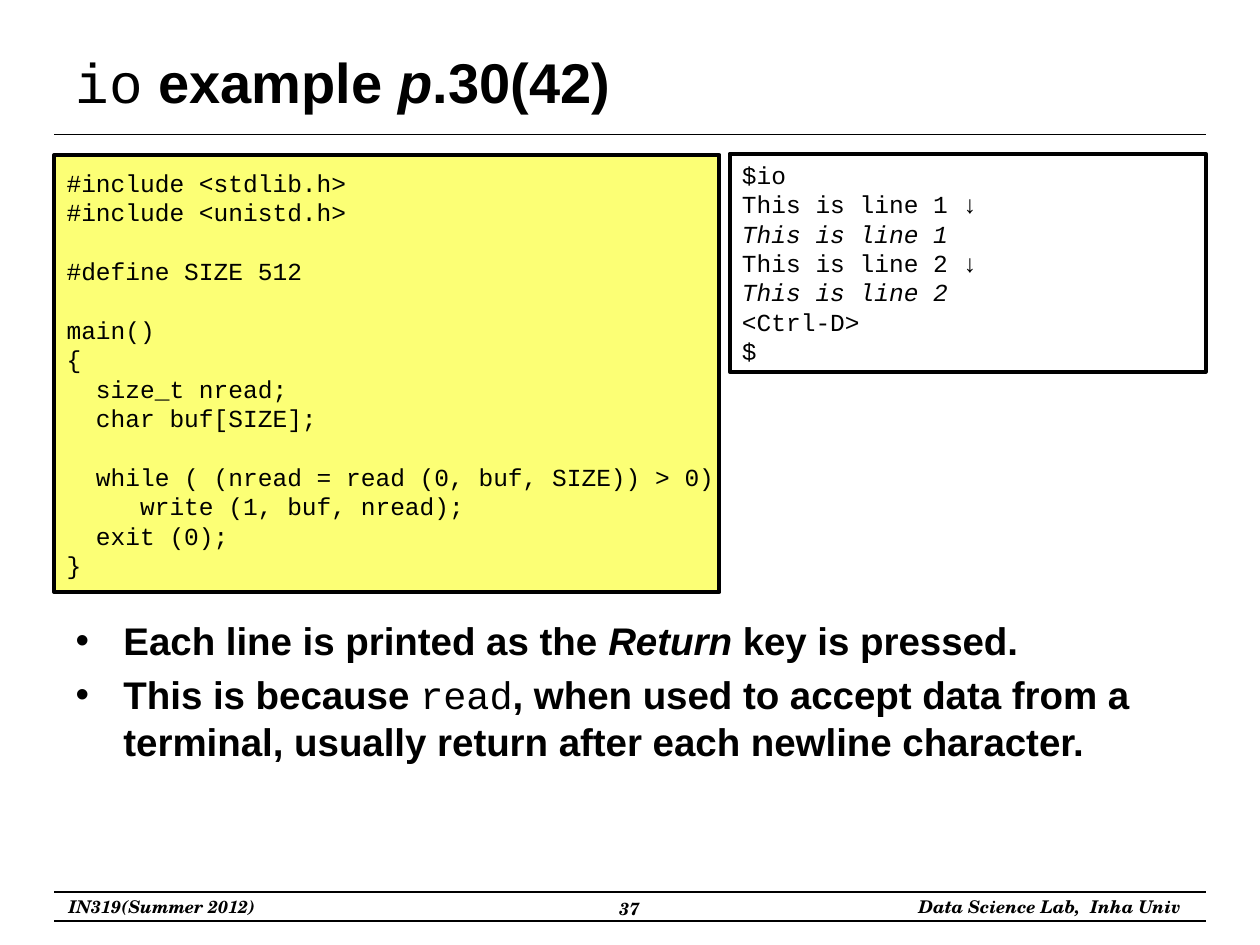
from dataclasses import dataclass
from lxml.etree import SubElement as sub
from pptx import Presentation
from pptx.dml.color import RGBColor as Rgb
from pptx.enum.shapes import MSO_CONNECTOR as Conn, MSO_SHAPE as Shape
from pptx.enum.text import MSO_ANCHOR as Anchor, MSO_AUTO_SIZE as Fit, PP_ALIGN as Align
from pptx.oxml.ns import qn
from pptx.util import Inches, Pt


@dataclass(frozen=True)
class Theme:
    ink: Rgb = Rgb(0, 0, 0)
    paper: Rgb = Rgb(255, 255, 255)
    note: Rgb = Rgb(0xFC, 0xFF, 0x75)
    sans: str = "Arial"
    mono: str = "Courier New"
    serif: str = "TeX Gyre Schola"
    title: float = 32
    body: float = 22
    code: float = 14
    foot: float = 10
    lead: float = 1.2
    rule: float = 0.75
    frame: float = 2.25


T = Theme()
WIDE, HIGH = Inches(10), Inches(7.5)
EDGE = 4.3

TITLE = [("io", "code"), (" example ", ""), ("p", "slant"), (".30(42)", "")]
POINTS = [
    [("Each line is printed as the ", ""), ("Return", "slant"), (" key is pressed.", "")],
    [("This is because ", ""), ("read", "code"),
     (", when used to accept data from a terminal, "
      "usually return after each newline character.", "")],
]
CODE = """#include <stdlib.h>
#include <unistd.h>

#define SIZE 512

main()
{
  size_t nread;
  char buf[SIZE];

  while ( (nread = read (0, buf, SIZE)) > 0)
     write (1, buf, nread);
  exit (0);
}""".split("\n")
SHELL = ["$io", "This is line 1 ↓", "This is line 1", "This is line 2 ↓",
         "This is line 2", "<Ctrl-D>", "$"]
ECHO = {2, 4}

PANELS = [
    (CODE, set(), T.note, (EDGE, 16.4, 52.8, 46.27)),
    (SHELL, ECHO, T.paper, (57.9, 16.27, 37.8, 23.07)),
]
FOOTS = [
    ("IN319(Summer 2012)", Align.CENTER, False, (4.1, 94.13, 17.5, 3.6)),
    ("Data Science Lab,  Inha Univ", Align.RIGHT, False, (71.6, 94.13, 23.1, 3.6)),
    ("37", Align.CENTER, True, (38.3, 94.4, 23.3, 4.13)),
]
RULES = [14.27, 94.4, 97.47]


def place(x, y, w, h):
    return [int(full * part / 100)
            for full, part in ((WIDE, x), (HIGH, y), (WIDE, w), (HIGH, h))]


def style(font, face, size, bold=False, slant=False):
    font.name, font.size = face, Pt(size)
    font.bold, font.italic = bold, slant
    font.color.rgb = T.ink


def move(shape, area):
    shape.left, shape.top, shape.width, shape.height = place(*area)
    shape.text_frame.auto_size = Fit.NONE


def write(para, parts, size):
    para.alignment = Align.LEFT
    for text, kind in parts:
        run = para.add_run()
        run.text = text
        code = kind == "code"
        style(run.font, T.mono if code else T.sans, size, not code, kind == "slant")


def lines(frame, count):
    return [frame.paragraphs[0]] + [frame.add_paragraph() for _ in range(count - 1)]


def rule(slide, y):
    x, y, w, _ = place(EDGE, y, 100 - 2 * EDGE, 0)
    line = slide.shapes.add_connector(Conn.STRAIGHT, x, y, x + w, y)
    line.line.color.rgb, line.line.width = T.ink, Pt(T.rule)
    sub(line._element.spPr, qn("a:effectLst"))


def foot(slide, text, align, wrap, area):
    box = slide.shapes.add_textbox(*place(*area))
    frame = box.text_frame
    frame.word_wrap = wrap
    frame.auto_size = Fit.NONE if wrap else Fit.SHAPE_TO_FIT_TEXT
    para = frame.paragraphs[0]
    para.text, para.alignment = text, align
    style(para.font, T.serif, T.foot, True, True)


def panel(slide, rows, slants, fill, area):
    box = slide.shapes.add_shape(Shape.RECTANGLE, *place(*area))
    box.shadow.inherit = False
    box.fill.solid()
    box.fill.fore_color.rgb = fill
    box.line.color.rgb, box.line.width = T.ink, Pt(T.frame)
    frame = box.text_frame
    frame.word_wrap, frame.vertical_anchor = False, Anchor.MIDDLE
    for i, (para, row) in enumerate(zip(lines(frame, len(rows)), rows)):
        para.text, para.alignment = row, Align.LEFT
        para.line_spacing = Pt(T.code * T.lead)
        style(para.font, T.mono, T.code, slant=i in slants)


def bullets(body):
    for i, (para, parts) in enumerate(zip(lines(body.text_frame, len(POINTS)), POINTS)):
        props = para._p.get_or_add_pPr()
        props.set("marL", str(Inches(0.38)))
        props.set("indent", str(-Inches(0.38)))
        para.line_spacing = Pt(T.body * T.lead)
        para.space_before = Pt(T.body * 0.2 if i else 0)
        sub(props, qn("a:buChar"), char="•")
        write(para, parts, T.body)


def main():
    deck = Presentation()
    deck.slide_width, deck.slide_height = WIDE, HIGH
    slide = deck.slides.add_slide(deck.slide_layouts[1])
    title, body = slide.placeholders
    for y in RULES:
        rule(slide, y)
    move(title, (5, 4, 90, 9.2))
    title.text_frame.vertical_anchor = Anchor.MIDDLE
    write(title.text_frame.paragraphs[0], TITLE, T.title)
    move(body, (5, 64.67, 90, 24.67))
    bullets(body)
    for item in PANELS:
        panel(slide, *item)
    for item in FOOTS:
        foot(slide, *item)
    deck.save("out.pptx")


if __name__ == "__main__":
    main()
